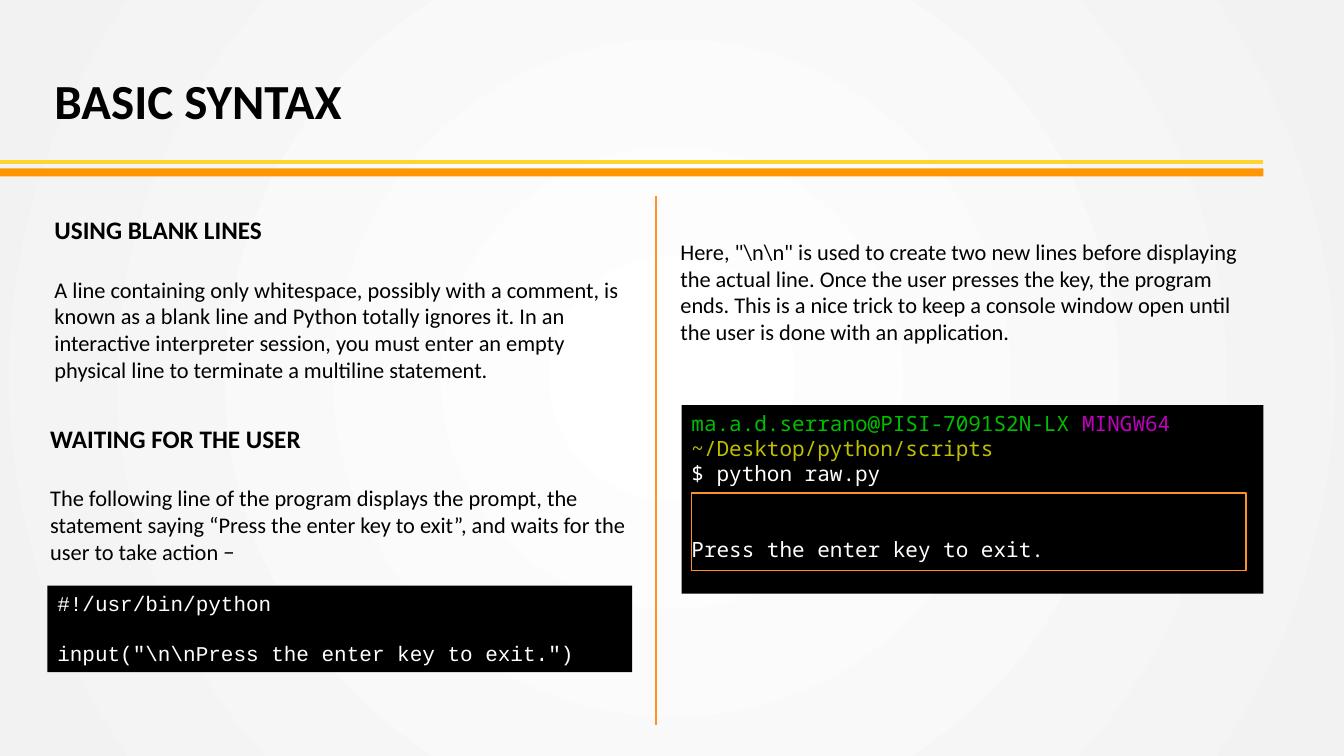
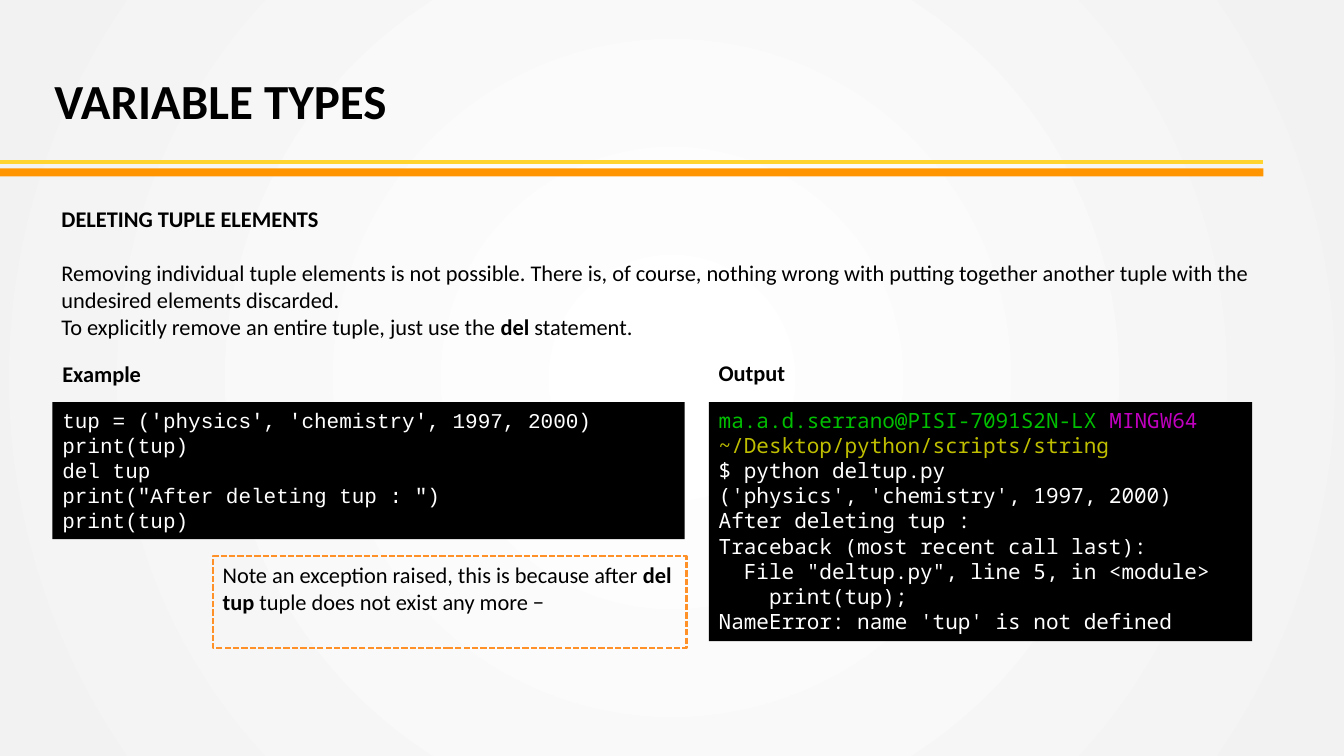
from lxml import etree
from pptx import Presentation
from pptx.dml.color import RGBColor
from pptx.enum.dml import MSO_LINE
from pptx.enum.shapes import MSO_CONNECTOR, MSO_SHAPE
from pptx.enum.text import MSO_ANCHOR, PP_ALIGN
from pptx.oxml.ns import qn
from pptx.util import Inches, Pt

RECTANGLE = MSO_SHAPE.RECTANGLE
STRAIGHT = MSO_CONNECTOR.STRAIGHT
SHORT_DASH = MSO_LINE.SQUARE_DOT
TOP = MSO_ANCHOR.TOP
LEFT = PP_ALIGN.LEFT

BLACK, WHITE = "000000", "FFFFFF"
PALE_GREY = "F2F2F2"
YELLOW, AMBER, ORANGE = "FFD42E", "FF9500", "FF9128"
GREEN, MAGENTA, OLIVE = "00BF00", "BF00BF", "BFBF00"
BODY_FONT, CODE_FONT, CONSOLE_FONT = "Calibri", "Courier New", "Noto Sans Mono"
BAND_WIDTH = 12.53
CODE_LINE = 18
DEFAULT_INSETS = (0.1, 0.05, 0.1, 0.05)
FLUSH_INSETS = (0, 0, 0, 0.05)


def rgb(value):
    return RGBColor.from_string(value)


def write(frame, text, size=16, font=BODY_FONT, color=BLACK, bold=False, gap=0):
    """Add a paragraph from a string or a list of (text, overrides) runs."""
    paragraph = frame.paragraphs[0]
    if paragraph.runs:
        paragraph = frame.add_paragraph()
    paragraph.alignment = LEFT
    if gap:
        paragraph.space_before = Pt(gap)
    runs = [(text, {})] if isinstance(text, str) else text
    for content, overrides in runs:
        run = paragraph.add_run()
        run.text = content
        run.font.size = Pt(size)
        run.font.name = font
        run.font.bold = overrides.get("bold", bold)
        run.font.color.rgb = rgb(overrides.get("color", color))


def prepare_frame(shape, insets=DEFAULT_INSETS):
    frame = shape.text_frame
    frame.word_wrap = True
    frame.vertical_anchor = TOP
    (frame.margin_left, frame.margin_top,
     frame.margin_right, frame.margin_bottom) = map(Inches, insets)
    return frame


def add_text(slide, box, insets=DEFAULT_INSETS):
    return prepare_frame(slide.shapes.add_textbox(*map(Inches, box)), insets)


def add_rectangle(slide, box, fill=None, line=None, width=1, dash=None):
    shape = slide.shapes.add_shape(RECTANGLE, *map(Inches, box))
    shape.shadow.inherit = False
    if fill:
        shape.fill.solid()
        shape.fill.fore_color.rgb = rgb(fill)
    else:
        shape.fill.background()
    if line:
        shape.line.color.rgb = rgb(line)
        shape.line.width = Pt(width)
        if dash:
            shape.line.dash_style = dash
    else:
        shape.line.fill.background()
    return shape


def add_line(slide, start, end, color, width):
    line = slide.shapes.add_connector(STRAIGHT, *map(Inches, start + end))
    line.line.color.rgb = rgb(color)
    line.line.width = Pt(width)
    etree.SubElement(line.element.spPr, qn("a:effectLst"))


def add_code(slide, box, lines, font=CODE_FONT):
    frame = prepare_frame(add_rectangle(slide, box, fill=BLACK))
    for text, blank_lines in lines:
        write(frame, text, size=15, font=font, color=WHITE,
              gap=blank_lines * CODE_LINE)


def add_console(slide, box, directory, lines):
    prompt = [("ma.a.d.serrano@PISI-7091S2N-LX ", {"color": GREEN}),
              ("MINGW64 ", {"color": MAGENTA}),
              (directory, {"color": OLIVE})]
    add_code(slide, box, [(prompt, 0)] + lines, font=CONSOLE_FONT)


def add_section(slide, box, heading, body, insets=DEFAULT_INSETS,
                heading_size=18, gap=22):
    frame = add_text(slide, box, insets)
    write(frame, heading, size=heading_size, bold=True)
    write(frame, body, gap=gap)
    return frame


def set_background(master):
    fill = master.background.fill
    fill.gradient()
    for stop, color, position in zip(fill.gradient_stops,
                                     (WHITE, PALE_GREY), (0.02, 1)):
        stop.color.rgb = rgb(color)
        stop.position = position
    gradient = master.element.find(".//" + qn("p:bgPr")).find(qn("a:gradFill"))
    linear = gradient.find(qn("a:lin"))
    radial = etree.Element(qn("a:path"), path="circle")
    etree.SubElement(radial, qn("a:fillToRect"),
                     dict.fromkeys("ltrb", "50000"))
    gradient.replace(linear, radial)


def add_titled_slide(presentation, title):
    slide = presentation.slides.add_slide(presentation.slide_layouts[5])
    shape = slide.shapes.title
    shape.left, shape.top, shape.width, shape.height = map(
        Inches, (0.54, 0.7, 7.87, 0.64))
    write(prepare_frame(shape, FLUSH_INSETS), title, size=35, bold=True)
    add_line(slide, (0, 1.61), (BAND_WIDTH, 1.61), YELLOW, 3)
    add_rectangle(slide, (0, 1.67, BAND_WIDTH, 0.08), fill=AMBER)
    return slide


def build_basic_syntax(presentation):
    slide = add_titled_slide(presentation, "BASIC SYNTAX")
    add_section(
        slide, (0.54, 2.13, 5.79, 2.52), "USING BLANK LINES",
        "A line containing only whitespace, possibly with a comment, is known "
        "as a blank line and Python totally ignores it. In an interactive "
        "interpreter session, you must enter an empty physical line to "
        "terminate a multiline statement.", insets=FLUSH_INSETS)
    add_line(slide, (6.51, 1.94), (6.51, 7.19), ORANGE, 1.5)
    add_code(slide, (0.47, 5.81, 5.8, 0.86), [
        ("#!/usr/bin/python", 0),
        (r'input("\n\nPress the enter key to exit.")', 1)])
    add_section(
        slide, (0.4, 4.15, 5.93, 1.51), "WAITING FOR THE USER",
        "The following line of the program displays the prompt, the statement "
        "saying “Press the enter key to exit”, and waits for the user to take "
        "action −")
    write(add_text(slide, (6.65, 2.31, 5.88, 1.45)),
          r'Here, "\n\n" is used to create two new lines before displaying the '
          "actual line. Once the user presses the key, the program ends. This "
          "is a nice trick to keep a console window open until the user is "
          "done with an application.")
    add_console(slide, (6.76, 4.02, 5.77, 1.87), "~/Desktop/python/scripts", [
        ("$ python raw.py", 0),
        ("Press the enter key to exit.", 2)])
    add_rectangle(slide, (6.86, 4.89, 5.5, 0.77), line=ORANGE)


def build_variable_types(presentation):
    slide = add_titled_slide(presentation, "VARIABLE TYPES")
    frame = add_section(
        slide, (0.61, 2.04, 11.81, 1.4), "DELETING TUPLE ELEMENTS",
        "Removing individual tuple elements is not possible. There is, of "
        "course, nothing wrong with putting together another tuple with the "
        "undesired elements discarded.",
        insets=FLUSH_INSETS, heading_size=16, gap=19)
    write(frame, [("To explicitly remove an entire tuple, just use the ", {}),
                  ("del", {"bold": True}), (" statement.", {})])
    add_code(slide, (0.52, 3.99, 6.27, 1.36), [(line, 0) for line in (
        "tup = ('physics', 'chemistry', 1997, 2000)",
        "print(tup)",
        "del tup",
        'print("After deleting tup : ")',
        "print(tup)")])
    add_console(
        slide, (7.03, 3.99, 5.39, 2.37), "~/Desktop/python/scripts/string",
        [(line, 0) for line in (
            "$ python deltup.py",
            "('physics', 'chemistry', 1997, 2000)",
            "After deleting tup :",
            "Traceback (most recent call last):",
            '  File "deltup.py", line 5, in <module>',
            "    print(tup);",
            "NameError: name 'tup' is not defined")])
    for label, box in (("Output", (7.03, 3.51, 1, 0.37)),
                       ("Example", (0.52, 3.52, 1.17, 0.37))):
        write(add_text(slide, box), label, bold=True)
    note = add_rectangle(slide, (2.11, 5.52, 4.7, 0.91), line=ORANGE,
                         width=1.5, dash=SHORT_DASH)
    write(prepare_frame(note), [
        ("Note an exception raised, this is because after ", {}),
        ("del tup", {"bold": True}),
        (" tuple does not exist any more −", {})])


def main():
    presentation = Presentation()
    presentation.slide_width = Inches(13.33)
    presentation.slide_height = Inches(7.5)
    set_background(presentation.slide_master)
    build_basic_syntax(presentation)
    build_variable_types(presentation)
    presentation.save("out.pptx")


if __name__ == "__main__":
    main()
